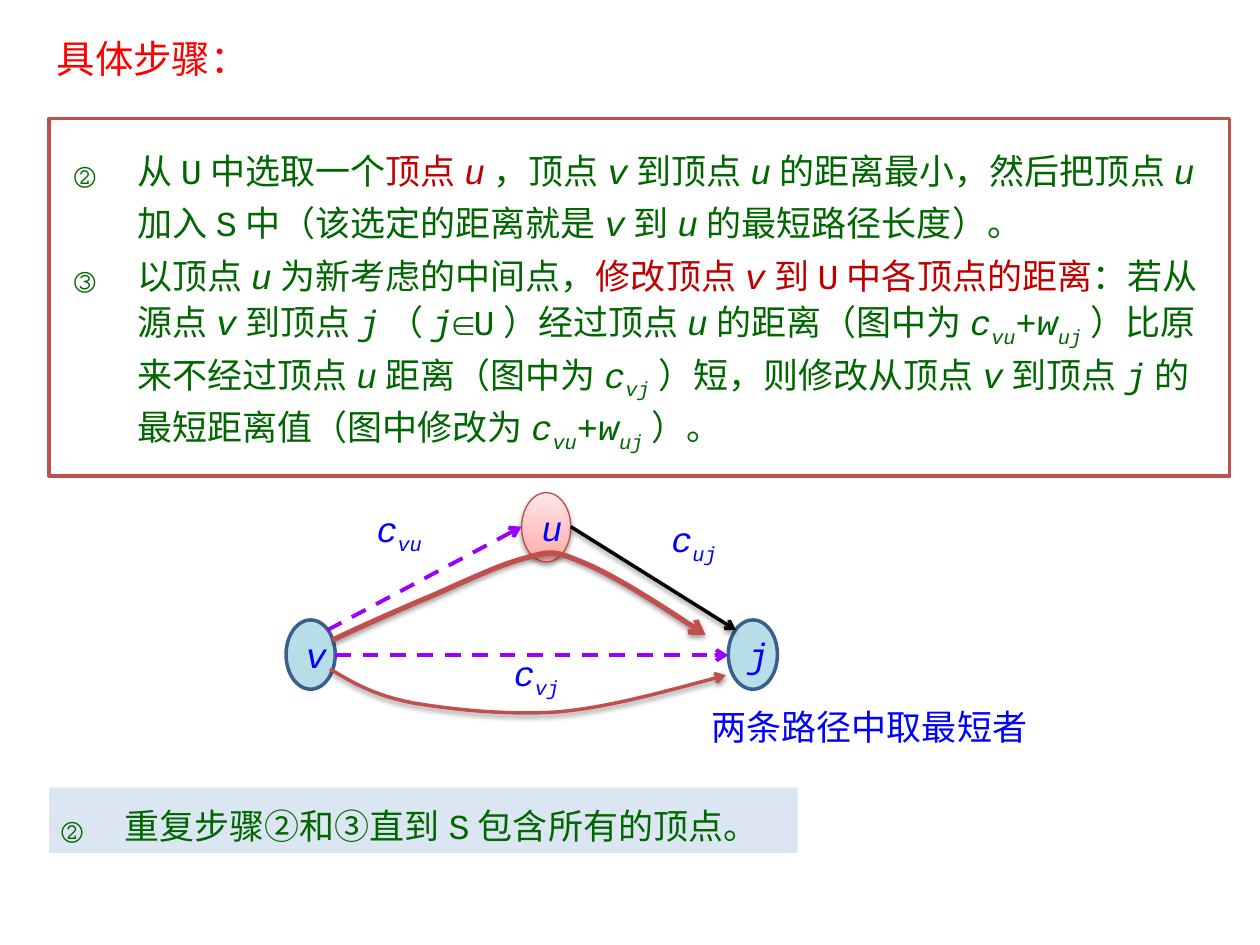
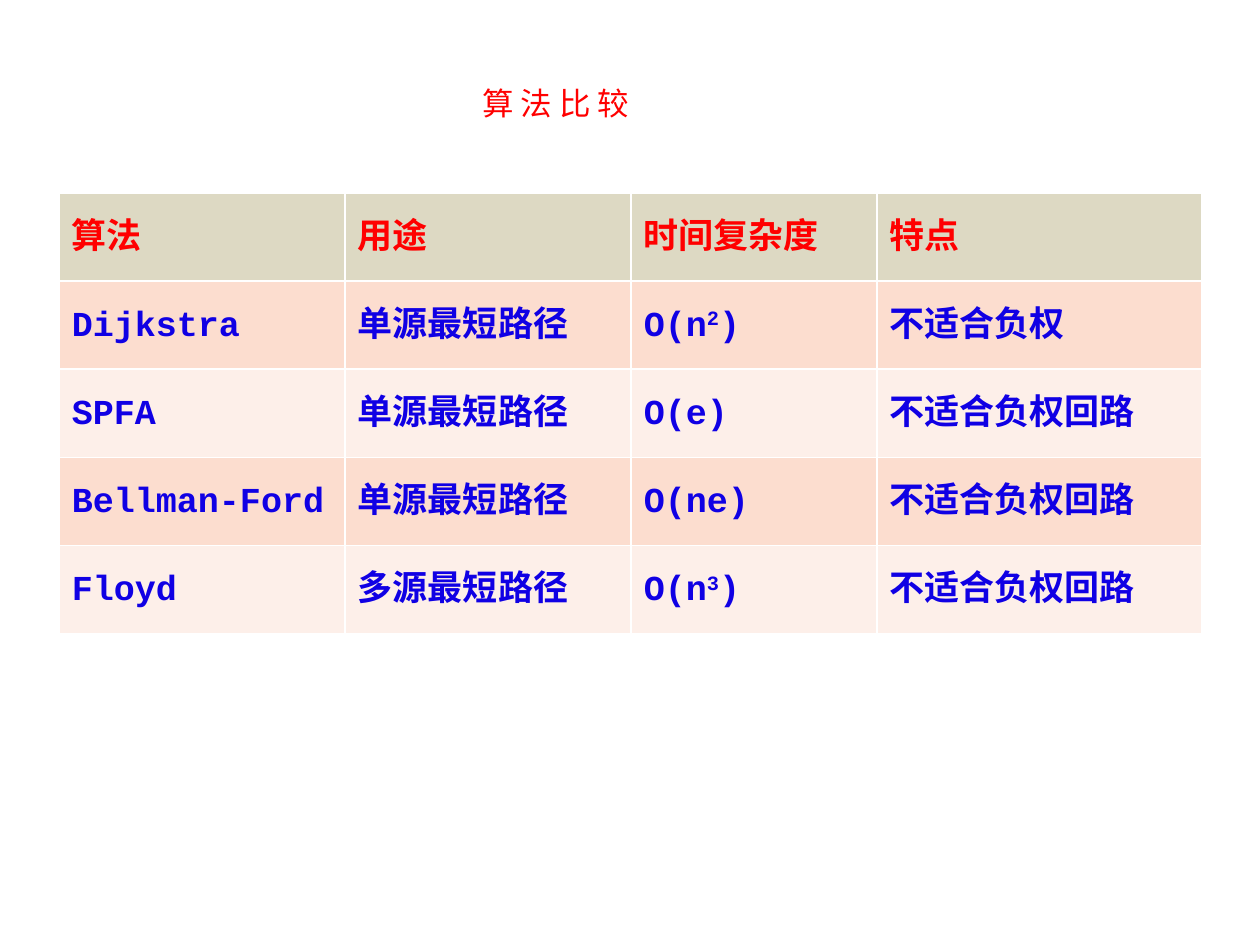
from copy import deepcopy

from pptx import Presentation
from pptx.dml.color import RGBColor
from pptx.enum.dml import MSO_LINE
from pptx.enum.shapes import MSO_CONNECTOR, MSO_SHAPE
from pptx.enum.text import MSO_ANCHOR, MSO_AUTO_SIZE, PP_ALIGN
from pptx.oxml.ns import qn
from pptx.oxml.xmlchemy import OxmlElement
from pptx.util import Inches, Pt

MONO = "Courier New"
HAN = "Noto Sans CJK SC"

RED = RGBColor(0xFF, 0x00, 0x00)
DARK_RED = RGBColor(0xC0, 0x00, 0x00)
GREEN = RGBColor(0x00, 0x66, 0x00)
BLUE = RGBColor(0x00, 0x00, 0xFF)
TABLE_BLUE = RGBColor(0x10, 0x00, 0xE4)
WHITE = RGBColor(0xFF, 0xFF, 0xFF)
BLACK = RGBColor(0x00, 0x00, 0x00)
BRICK = RGBColor(0xC0, 0x50, 0x4D)
PURPLE = RGBColor(0x99, 0x00, 0xFF)
PALE_BLUE = RGBColor(0xDC, 0xE6, 0xF2)
NODE_FILL = RGBColor(0xB7, 0xDE, 0xE8)
NODE_LINE = RGBColor(0x3A, 0x5F, 0x8C)
CHOSEN_LINE = RGBColor(0xBF, 0x4C, 0x48)
CHOSEN_STOPS = [
    (0, RGBColor(0xFF, 0xA6, 0xA5)),
    (0.35, RGBColor(0xFF, 0xC0, 0xBF)),
    (1, RGBColor(0xFF, 0xE7, 0xE7)),
]
HEADER_FILL = RGBColor(0xDD, 0xD9, 0xC3)
BAND_FILLS = [RGBColor(0xFC, 0xDD, 0xCF), RGBColor(0xFD, 0xEF, 0xE9)]

NODE_W, NODE_H = 0.39, 0.55
CURVE_STEPS = 12

STEPS = [
    "从U中选取一个|顶点*u*|，顶点*v*到顶点*u*的距离最小，然后把顶点*u*"
    "加入S中（该选定的距离就是*v*到*u*的最短路径长度）。",
    "以顶点*u*为新考虑的中间点，|修改顶点*v*到U中各顶点的距离|：若从源点*v*到顶点*j*"
    "（*j*∈U）经过顶点*u*的距离（图中为*c_vu_*+*w_uj_*）比原来不经过顶点*u*"
    "距离（图中为*c_vj_*）短，则修改从顶点*v*到顶点*j*的最短距离值"
    "（图中修改为*c_vu_*+*w_uj_*）。",
]
REPEAT_STEP = "重复步骤②和③直到S包含所有的顶点。"

COMPARISON = [
    ["算法", "用途", "时间复杂度", "特点"],
    ["Dijkstra", "单源最短路径", "O(n^2^)", "不适合负权"],
    ["SPFA", "单源最短路径", "O(e)", "不适合负权回路"],
    ["Bellman-Ford", "单源最短路径", "O(ne)", "不适合负权回路"],
    ["Floyd", "多源最短路径", "O(n^3^)", "不适合负权回路"],
]
COLUMN_WIDTHS = [2.27, 2.27, 1.95, 2.58]
ROW_HEIGHT = 0.7


def add_xml(parent, tag, **attributes):
    child = OxmlElement(tag)
    for name, value in attributes.items():
        child.set(name, str(value))
    parent.append(child)
    return child


def split_marks(marked):
    """Yield (text, active marks): * italic, _ subscript, ^ superscript, | accent."""
    active, text = set(), ""
    for char in marked:
        if char in "*_^|":
            if text:
                yield text, set(active)
            active ^= {char}
            text = ""
        else:
            text += char
    if text:
        yield text, active


def write_text(frame, paragraphs, *, color, size=20, font=MONO, bold=False,
               align=PP_ALIGN.LEFT, anchor=MSO_ANCHOR.TOP, spacing=None, start=None):
    """Write marked-up paragraphs, numbered with circled digits if start is given."""
    frame.word_wrap = True
    frame.vertical_anchor = anchor
    for index, marked in enumerate(paragraphs):
        paragraph = frame.add_paragraph() if index else frame.paragraphs[0]
        paragraph.alignment = align
        paragraph.line_spacing = spacing
        if start:
            properties = paragraph._p.get_or_add_pPr()
            properties.set("marL", str(Inches(0.5)))
            properties.set("indent", str(-Inches(0.5)))
            add_xml(properties, "a:buAutoNum", type="circleNumDbPlain", startAt=start)
        for text, marks in split_marks(marked):
            run = paragraph.add_run()
            run.text = text
            run.font.size = Pt(size)
            run.font.name = font
            run.font.bold = bold
            run.font.italic = "*" in marks
            run.font.color.rgb = DARK_RED if "|" in marks else color
            run_properties = run._r.get_or_add_rPr()
            add_xml(run_properties, "a:ea", typeface=font)
            if "_" in marks:
                run_properties.set("baseline", "-25000")
            elif "^" in marks:
                run_properties.set("baseline", "30000")


def set_effects(shape, shadow=False):
    """Replace the theme's shadow by none or by a soft one; call after the line is set."""
    effects = add_xml(shape._element.spPr, "a:effectLst")
    if shadow:
        outer = add_xml(effects, "a:outerShdw", blurRad=Pt(3.1), dist=Pt(1.6),
                        dir=5400000, rotWithShape=0)
        black = add_xml(outer, "a:srgbClr", val="000000")
        add_xml(black, "a:alpha", val=38000)


def style_arrow(shape, color, width, *, dashed=False, shadow=False):
    shape.line.color.rgb = color
    shape.line.width = Pt(width)
    if dashed:
        shape.line.dash_style = MSO_LINE.DASH
    add_xml(shape.line._get_or_add_ln(), "a:tailEnd", type="arrow")
    set_effects(shape, shadow)


def add_title(slide, text, box, **text_format):
    title = slide.shapes.title
    title.left, title.top, title.width, title.height = map(Inches, box)
    title.text_frame.auto_size = MSO_AUTO_SIZE.NONE
    write_text(title.text_frame, [text], color=RED, **text_format)


def add_text(slide, text, box):
    label = slide.shapes.add_textbox(*map(Inches, box))
    write_text(label.text_frame, [text], color=BLUE)


def add_steps(slide, steps, box, fill, *, line=None, margins=(0.1, 0.05)):
    panel = slide.shapes.add_shape(MSO_SHAPE.RECTANGLE, *map(Inches, box))
    panel.fill.solid()
    panel.fill.fore_color.rgb = fill
    if line:
        panel.line.color.rgb = line
        panel.line.width = Pt(2)
    else:
        panel.line.fill.background()
    set_effects(panel)
    frame = panel.text_frame
    frame.margin_left = frame.margin_right = Inches(margins[0])
    frame.margin_top = frame.margin_bottom = Inches(margins[1])
    write_text(frame, steps, color=GREEN, spacing=Pt(30), start=2)


def add_node(slide, name, left, top, *, chosen=False):
    node = slide.shapes.add_shape(MSO_SHAPE.OVAL, *map(Inches, (left, top, NODE_W, NODE_H)))
    if chosen:
        node.fill.gradient()
        node.fill.gradient_angle = 90
        stop_list = node._element.spPr.find(".//" + qn("a:gsLst"))
        stop_list.insert(1, deepcopy(stop_list[0]))
        for stop, (position, color) in zip(node.fill.gradient_stops, CHOSEN_STOPS):
            stop.position = position
            stop.color.rgb = color
    else:
        node.fill.solid()
        node.fill.fore_color.rgb = NODE_FILL
    node.line.color.rgb = CHOSEN_LINE if chosen else NODE_LINE
    node.line.width = Pt(0.75 if chosen else 2)
    set_effects(node, shadow=chosen)
    write_text(node.text_frame, [f"*{name}*"], color=BLUE,
               align=PP_ALIGN.CENTER, anchor=MSO_ANCHOR.MIDDLE)


def add_edge(slide, start, end, color, width, **arrow_format):
    edge = slide.shapes.add_connector(MSO_CONNECTOR.STRAIGHT, *map(Inches, start + end))
    style_arrow(edge, color, width, **arrow_format)


def bezier_point(controls, t):
    weights = ((1 - t) ** 3, 3 * t * (1 - t) ** 2, 3 * t * t * (1 - t), t ** 3)
    return tuple(sum(w * c[axis] for w, c in zip(weights, controls)) for axis in (0, 1))


def add_route(slide, start, curves, width):
    """Draw a curved arrow through cubic curves given as (control, control, end)."""
    points = [start]
    for curve in curves:
        controls = (points[-1], *curve)
        points += [bezier_point(controls, step / CURVE_STEPS)
                   for step in range(1, CURVE_STEPS + 1)]
    builder = slide.shapes.build_freeform(*map(Inches, start))
    builder.add_line_segments([tuple(map(Inches, p)) for p in points[1:]], close=False)
    route = builder.convert_to_shape()
    route.fill.background()
    style_arrow(route, BRICK, width, shadow=True)


def add_comparison(slide):
    table = slide.shapes.add_table(
        len(COMPARISON), len(COLUMN_WIDTHS), Inches(0.47), Inches(1.53),
        Inches(sum(COLUMN_WIDTHS)), Inches(ROW_HEIGHT * len(COMPARISON))).table
    for column, width in zip(table.columns, COLUMN_WIDTHS):
        column.width = Inches(width)
    for r, row in enumerate(COMPARISON):
        for c, text in enumerate(row):
            cell = table.cell(r, c)
            cell.fill.solid()
            cell.fill.fore_color.rgb = BAND_FILLS[(r - 1) % 2] if r else HEADER_FILL
            write_text(cell.text_frame, [text], color=TABLE_BLUE if r else RED,
                       bold=True, spacing=1.5)


def build_steps_slide(slide):
    add_title(slide, "具体步骤：", (0.35, 0.23, 9.37, 0.47), size=22)
    add_steps(slide, STEPS, (0.39, 0.94, 9.37, 2.84), WHITE, line=BRICK, margins=(0.2, 0.16))

    add_node(slide, "u", 4.14, 3.91, chosen=True)
    add_node(slide, "v", 2.27, 4.92)
    add_node(slide, "j", 5.78, 4.92)
    add_edge(slide, (2.66, 5.2), (5.78, 5.2), PURPLE, 2.25, dashed=True)
    add_edge(slide, (4.53, 4.18), (5.84, 5), BLACK, 2, shadow=True)
    add_edge(slide, (2.6, 5), (4.14, 4.18), PURPLE, 2.25, dashed=True)
    for ends, left, top in [("vu", 2.89, 3.98), ("vj", 3.98, 5.12), ("uj", 5.23, 4.06)]:
        add_text(slide, f"*c_{ends}_*", (left, top, 0.63, 0.44))

    add_route(slide, (2.64, 5.08), [
        ((2.87, 4.97), (3.1, 4.87), (3.33, 4.77)),
        ((3.58, 4.67), (3.95, 4.48), (4.17, 4.43)),
        ((4.38, 4.37), (4.4, 4.37), (4.64, 4.47)),
        ((4.88, 4.57), (5.24, 4.8), (5.6, 5.04)),
    ], 3)
    add_route(slide, (2.62, 5.31), [
        ((2.8, 5.42), (2.97, 5.52), (3.28, 5.58)),
        ((3.58, 5.63), (4.03, 5.68), (4.44, 5.65)),
        ((4.86, 5.61), (5.31, 5.48), (5.76, 5.36)),
    ], 2)
    add_text(slide, "两条路径中取最短者", (5.55, 5.55, 2.73, 0.44))
    add_steps(slide, [REPEAT_STEP], (0.39, 6.25, 5.94, 0.52), PALE_BLUE)


def build_comparison_slide(slide):
    add_comparison(slide)
    add_title(slide, "算 法 比 较", (3.2, 0.62, 2.42, 0.5),
              size=18, font=HAN, align=PP_ALIGN.CENTER)


def main():
    deck = Presentation()
    deck.slide_width, deck.slide_height = Inches(10), Inches(7.5)
    title_only = deck.slide_layouts[5]
    build_steps_slide(deck.slides.add_slide(title_only))
    build_comparison_slide(deck.slides.add_slide(title_only))
    deck.save("out.pptx")


if __name__ == "__main__":
    main()
